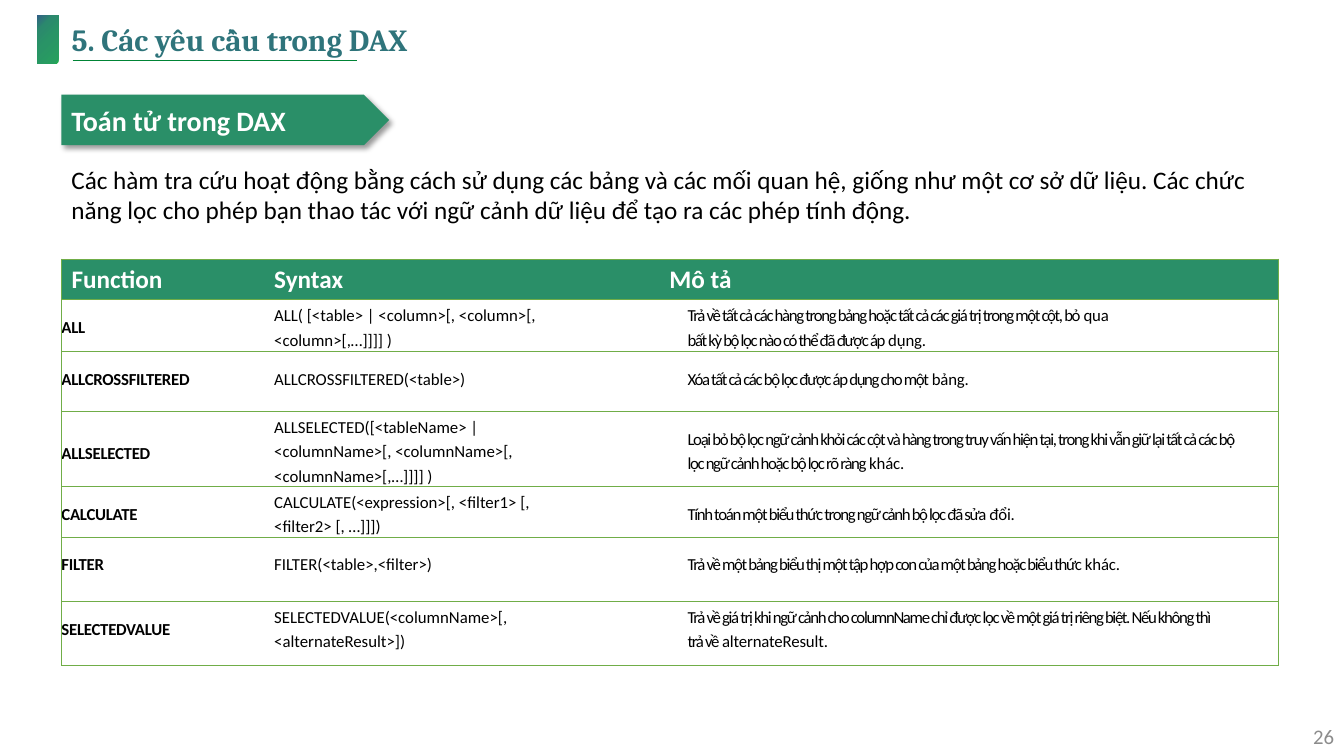
from lxml import etree
from pptx import Presentation
from pptx.dml.color import RGBColor
from pptx.enum.shapes import MSO_CONNECTOR, MSO_SHAPE
from pptx.enum.text import MSO_ANCHOR, MSO_AUTO_SIZE, PP_ALIGN
from pptx.oxml import parse_xml
from pptx.oxml.ns import nsdecls, qn
from pptx.util import Inches, Pt

COLORS = {"green": "2A8F68", "rule": "008435", "border": "70AD47",
          "text": "000000", "white": "FFFFFF", "number": "8C8C8C"}
TITLE_STOPS = [(0, "325E89"), (12, "2F747B"), (50, "299466"), (82, "279E5F"), (100, "23B350")]
MARKER_STOPS = [(0, "325E89"), (11, "2F747B"), (23, "2B896D"),
                (53, "299466"), (92, "279E5F"), (99, "23B350")]
TITLE = "5. Các yêu cầu trong DAX"
SUBTITLE = "Toán tử trong DAX"
INTRO = ("Các hàm tra cứu hoạt động bằng cách sử dụng các bảng và các mối quan hệ, "
         "giống như một cơ sở dữ liệu. Các chức năng lọc cho phép bạn thao tác với "
         "ngữ cảnh dữ liệu để tạo ra các phép tính động.")
PAGE_NUMBER = "26"

HEADINGS = ["Function", "Syntax", "Mô tả"]
WIDTHS = [2.01, 3.92, 6.14]
HEIGHTS = [0.4, 0.52, 0.59, 0.74, 0.5, 0.64, 0.64]
FUNCTIONS = [
    (["ALL"],
     ["ALL( [<table> | <column>[, <column>[,", "<column>[,…]]]] )"],
     ["Trả về tất cả các hàng trong bảng hoặc tất cả các giá trị trong một cột, bỏ qua",
      "bất kỳ bộ lọc nào có thể đã được áp dụng."]),
    (["ALLCROSSFILTERED"],
     ["ALLCROSSFILTERED(<table>)"],
     ["Xóa tất cả các bộ lọc được áp dụng cho một bảng."]),
    (["ALLSELECTED"],
     ["ALLSELECTED([<tableName> |", "<columnName>[, <columnName>[,", "<columnName>[,…]]]] )"],
     ["Loại bỏ bộ lọc ngữ cảnh khỏi các cột và hàng trong truy vấn hiện tại, trong khi vẫn "
      "giữ lại tất cả các bộ lọc ngữ cảnh hoặc bộ lọc rõ ràng khác."]),
    (["CALCULATE"],
     ["CALCULATE(<expression>[, <filter1> [,", "<filter2> [, …]]])"],
     ["Tính toán một biểu thức trong ngữ cảnh bộ lọc đã sửa đổi."]),
    (["FILTER"],
     ["FILTER(<table>,<filter>)"],
     ["Trả về một bảng biểu thị một tập hợp con của một bảng hoặc biểu thức khác."]),
    (["SELECTEDVALUE"],
     ["SELECTEDVALUE(<columnName>[,", "<alternateResult>])"],
     ["Trả về giá trị khi ngữ cảnh cho columnName chỉ được lọc về một giá trị riêng biệt. "
      "Nếu không thì trả về alternateResult."]),
]
TOPS = [(0.18, 0.06, 0.06), (0.18, 0.18, 0.18), (0.32, 0.06, 0.14),
        (0.18, 0.06, 0.18), (0.18, 0.18, 0.18), (0.18, 0.06, 0.02)]
LEFTS = [0, 0.1, 0.28]
WRAPPED = {2: 0.29, 5: 0.5}
NAME_SPACING, TIGHT_SPACING, LAST_SPACING = -0.2, -0.95, -0.1


def rgb(name):
    return RGBColor.from_string(COLORS[name])


def add_span(para, text, size, color, bold=False, spacing=0, font="Calibri"):
    span = para.add_run()
    span.text = text
    span.font.name = font
    span.font.size = Pt(size)
    span.font.bold = bold
    span.font.color.rgb = rgb(color)
    if spacing:
        span.font._element.set("spc", str(round(spacing * 100)))
    return span


def gradient(stops, direction):
    marks = "".join(f'<a:gs pos="{place * 1000}"><a:srgbClr val="{color}"/></a:gs>'
                    for place, color in stops)
    return parse_xml(f'<a:gradFill {nsdecls("a")} rotWithShape="1">'
                     f'<a:gsLst>{marks}</a:gsLst>{direction}</a:gradFill>')


def swap_fill(properties, fill):
    solid = properties.find(qn("a:solidFill"))
    properties.replace(solid, fill)


def place(shape, left, top, width, height):
    shape.left, shape.top = Inches(left), Inches(top)
    shape.width, shape.height = Inches(width), Inches(height)


def add_block(page, kind, left, top, width, height):
    block = page.shapes.add_shape(kind, Inches(left), Inches(top), Inches(width), Inches(height))
    block.shadow.inherit = False
    block.fill.solid()
    block.fill.fore_color.rgb = rgb("green")
    block.line.fill.background()
    return block


def add_box(page, left, top, width, height):
    box = page.shapes.add_textbox(Inches(left), Inches(top), Inches(width), Inches(height))
    box.text_frame.word_wrap = True
    return box.text_frame


def set_borders(cell, column):
    shown = {"L": column == 0, "R": column == len(WIDTHS) - 1, "T": True, "B": True}
    for index, (side, visible) in enumerate(shown.items()):
        paint = (f'<a:solidFill><a:srgbClr val="{COLORS["border"]}"/></a:solidFill>'
                 if visible else "<a:noFill/>")
        edge = parse_xml(f'<a:ln{side} {nsdecls("a")} w="{Pt(0.5)}">{paint}</a:ln{side}>')
        cell._tc.get_or_add_tcPr().insert(index, edge)


def fill_body_cell(cell, row, column, lines):
    cell.margin_left = Inches(LEFTS[column])
    cell.margin_top = Inches(TOPS[row][column])
    cell.margin_right = Inches(WRAPPED.get(row, 0) if column == 2 else 0)
    cell.margin_bottom = 0
    for index, line in enumerate(lines):
        para = cell.text_frame.add_paragraph() if index else cell.text_frame.paragraphs[0]
        if index:
            para.space_before = Pt(3)
        if column == 2:
            if row in WRAPPED:
                para.line_spacing = 1.2
            start, gap, last = line.rpartition(" ")
            add_span(para, start + gap, 12, "text", spacing=TIGHT_SPACING)
            add_span(para, last, 12, "text", spacing=LAST_SPACING)
        else:
            is_name = column == 0
            add_span(para, line, 12, "text", is_name, NAME_SPACING if is_name else 0)


def add_function_table(page):
    table = page.shapes.add_table(len(HEIGHTS), len(WIDTHS), Inches(0.61), Inches(2.57),
                                  Inches(sum(WIDTHS)), Inches(sum(HEIGHTS))).table
    table.first_row = table.horz_banding = False
    for column, width in enumerate(WIDTHS):
        table.columns[column].width = Inches(width)
    for row, height in enumerate(HEIGHTS):
        table.rows[row].height = Inches(height)
        for column in range(len(WIDTHS)):
            cell = table.cell(row, column)
            if row == 0:
                cell.fill.solid()
                cell.fill.fore_color.rgb = rgb("green")
                add_span(cell.text_frame.paragraphs[0], HEADINGS[column], 18, "white", True)
            else:
                cell.fill.background()
                fill_body_cell(cell, row - 1, column, FUNCTIONS[row - 1][column])
            set_borders(cell, column)


def main():
    deck = Presentation()
    deck.slide_width, deck.slide_height = Inches(13.33), Inches(7.5)
    page = deck.slides.add_slide(deck.slide_layouts[5])

    rule = page.shapes.add_connector(MSO_CONNECTOR.STRAIGHT, Inches(0.72), Inches(0.6),
                                     Inches(3.54), Inches(0.6))
    rule.line.color.rgb = rgb("rule")
    rule.line.width = Pt(1)
    etree.SubElement(rule._element.spPr, qn("a:effectLst"))

    marker = add_block(page, MSO_SHAPE.RECTANGLE, 0.37, 0.15, 0.21, 0.48)
    swap_fill(marker._element.spPr, gradient(
        MARKER_STOPS, '<a:path path="circle"><a:fillToRect r="100000" b="100000"/></a:path>'))

    number = add_box(page, 10.33, 7.1, 3, 0.4)
    number.vertical_anchor = MSO_ANCHOR.MIDDLE
    number.paragraphs[0].alignment = PP_ALIGN.RIGHT
    add_span(number.paragraphs[0], PAGE_NUMBER, 14.8, "number")

    title = page.shapes.title
    place(title, 0.61, 0.07, 11.19, 0.69)
    title.text_frame.vertical_anchor = MSO_ANCHOR.MIDDLE
    para = title.text_frame.paragraphs[0]
    para.alignment = PP_ALIGN.LEFT
    para.line_spacing = 0.9
    span = add_span(para, TITLE, 22, "green", True, font="Cambria")
    swap_fill(span.font._element, gradient(TITLE_STOPS, '<a:lin ang="0" scaled="1"/>'))

    banner = add_block(page, MSO_SHAPE.PENTAGON, 0.61, 0.94, 3.25, 0.5)
    banner._element.spPr.find(qn("a:effectLst")).append(parse_xml(
        f'<a:outerShdw {nsdecls("a")} blurRad="{Pt(4)}" dist="{Pt(3)}" dir="2700000" '
        f'algn="tl" rotWithShape="0"><a:srgbClr val="{COLORS["text"]}">'
        '<a:alpha val="40000"/></a:srgbClr></a:outerShdw>'))
    banner.text_frame.vertical_anchor = MSO_ANCHOR.MIDDLE
    banner.text_frame.paragraphs[0].alignment = PP_ALIGN.LEFT
    add_span(banner.text_frame.paragraphs[0], SUBTITLE, 20, "white", True)

    intro = add_box(page, 0.61, 1.58, 12.16, 0.71)
    intro.auto_size = MSO_AUTO_SIZE.SHAPE_TO_FIT_TEXT
    add_span(intro.paragraphs[0], INTRO, 18, "text")

    add_function_table(page)
    deck.save("out.pptx")


if __name__ == "__main__":
    main()
